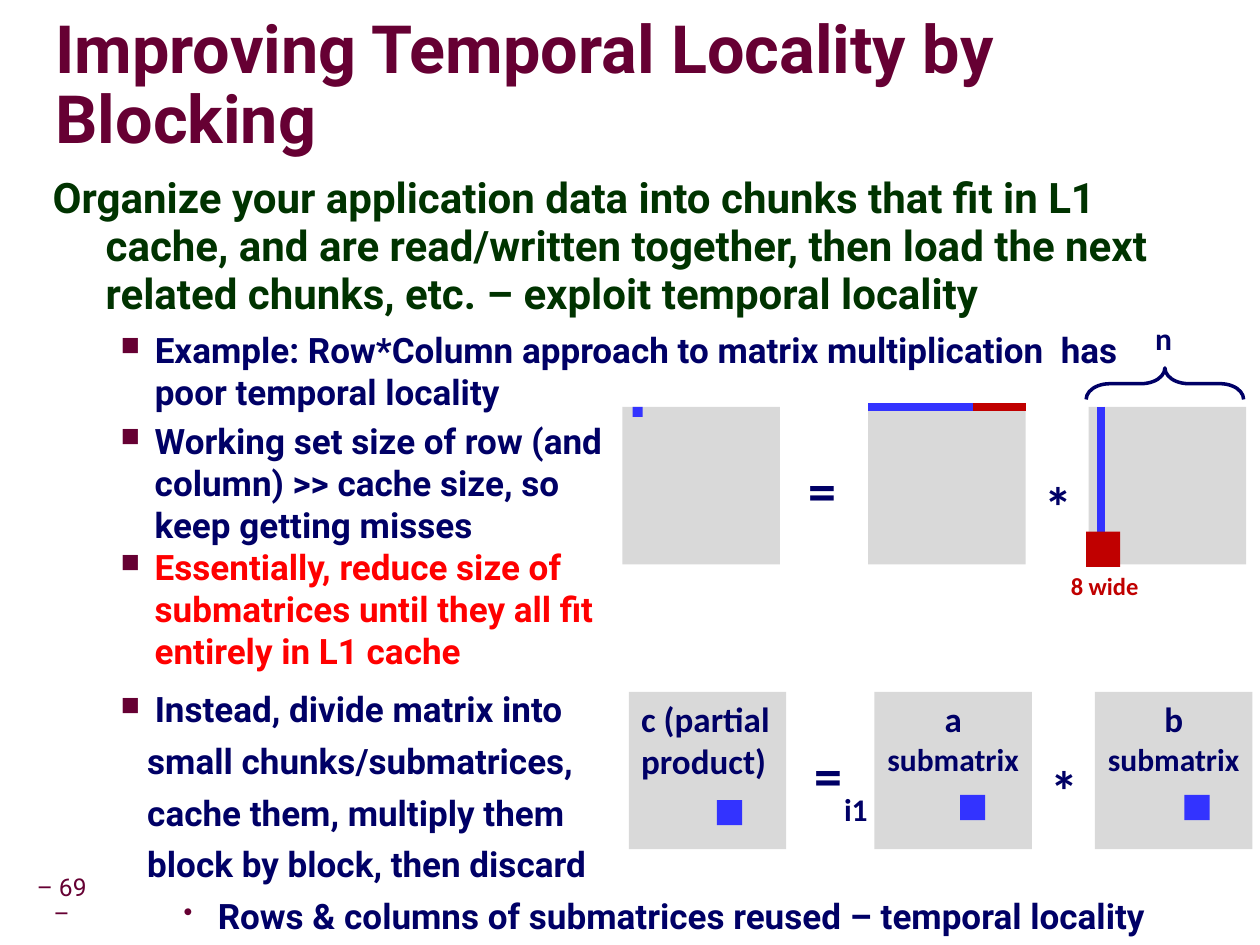
import pptx
import pptx.util
import pptx.dml.color
import pptx.oxml
import pptx.oxml.ns
import pptx.enum.shapes
import pptx.enum.text
from lxml import etree

Inches = pptx.util.Inches
Pt = pptx.util.Pt
RGBColor = pptx.dml.color.RGBColor
Shape = pptx.enum.shapes.MSO_SHAPE
Anchor = pptx.enum.text.MSO_ANCHOR
Align = pptx.enum.text.PP_ALIGN
qn = pptx.oxml.ns.qn

MAROON = RGBColor(0x66, 0x00, 0x33)
GREEN = RGBColor(0x00, 0x33, 0x00)
NAVY = RGBColor(0x00, 0x00, 0x66)
RED = RGBColor(0xFF, 0x00, 0x00)
DARK_RED = RGBColor(0xC0, 0x00, 0x00)
BLUE = RGBColor(0x33, 0x33, 0xFF)
GRAY = RGBColor(0xD9, 0xD9, 0xD9)

MATRIX_SIDE = 1.25
MATRIX_OFFSETS = (0, 1.95, 3.7)
SUB = 5.49


def style_para(para, size, color, font="Roboto", bold=True):
    """Format every run of a paragraph."""
    for span in para.runs:
        span.font.size = Pt(size)
        span.font.name = font
        span.font.bold = bold
        span.font.color.rgb = color


def add_box(page, left, top, width, height, wrap=True, inset=0.1):
    """Add an empty text box."""
    box = page.shapes.add_textbox(Inches(left), Inches(top), Inches(width), Inches(height))
    frame = box.text_frame
    frame.word_wrap = wrap
    frame.margin_left = frame.margin_right = Inches(inset)
    return box


def add_label(page, text, left, top, width, height, size, color=NAVY):
    """Add a short unwrapped label for the diagrams."""
    box = add_box(page, left, top, width, height, wrap=False)
    box.text_frame.text = text
    style_para(box.text_frame.paragraphs[0], size, color, "Calibri")


def add_block(page, left, top, width, height, color):
    """Add a filled rectangle without an outline."""
    block = page.shapes.add_shape(
        Shape.RECTANGLE, Inches(left), Inches(top), Inches(width), Inches(height))
    block.shadow.inherit = False
    block.fill.solid()
    block.fill.fore_color.rgb = color
    block.line.fill.background()
    return block


def add_stripe(page, x1, y1, x2, y2, color):
    """Add a thick line marking a row or column."""
    stripe = page.shapes.add_connector(
        pptx.enum.shapes.MSO_CONNECTOR.STRAIGHT,
        Inches(x1), Inches(y1), Inches(x2), Inches(y2))
    stripe.line.color.rgb = color
    stripe.line.width = Pt(4.5)
    etree.SubElement(stripe.element.spPr, qn("a:effectLst"))


def add_title(page, left, top, width, height):
    """Add the title with its soft text shadow."""
    box = add_box(page, left, top, width, height, inset=0)
    frame = box.text_frame
    frame.margin_top = frame.margin_bottom = 0
    frame.vertical_anchor = Anchor.MIDDLE
    frame.text = "Improving Temporal Locality by Blocking"
    para = frame.paragraphs[0]
    para.line_spacing = 0.87
    style_para(para, 38, MAROON)
    fill = para.runs[0].font.fill._xPr.find(qn("a:solidFill"))
    fill.addnext(pptx.oxml.parse_xml(
        '<a:effectLst xmlns:a="http://schemas.openxmlformats.org/drawingml/2006/main">'
        '<a:outerShdw blurRad="38100" dist="38100" dir="2700000" algn="tl">'
        '<a:srgbClr val="000000"><a:alpha val="43000"/></a:srgbClr>'
        '</a:outerShdw></a:effectLst>'))


def add_page_number(page, left, top, width, height):
    """Add the page number, folded in a narrow box."""
    box = add_box(page, left, top, width, height, inset=0.05)
    frame = box.text_frame
    frame.vertical_anchor = Anchor.MIDDLE
    frame.text = "– 69 –"
    para = frame.paragraphs[0]
    para.alignment = Align.CENTER
    para.line_spacing = 0.9
    style_para(para, 14, MAROON, bold=False)


def add_body(page, left, top, width, height, items, gap):
    """Add paragraphs of text, margin, indent, bullet, size and color."""
    frame = add_box(page, left, top, width, height).text_frame
    for index, (text, margin, indent, bullet, size, color) in enumerate(items):
        para = frame.add_paragraph() if index else frame.paragraphs[0]
        para.text = text
        props = para._p.get_or_add_pPr()
        props.set("marL", str(Inches(margin)))
        props.set("indent", str(Inches(indent)))
        if bullet:
            tint = etree.SubElement(props, qn("a:buClr"))
            etree.SubElement(tint, qn("a:srgbClr")).set("val", str(MAROON))
            etree.SubElement(props, qn("a:buSzPct")).set("val", "75000")
            etree.SubElement(props, qn("a:buChar")).set("char", bullet)
        else:
            etree.SubElement(props, qn("a:buNone"))
        if index:
            para.space_before = Pt(gap)
        if size == 24:
            para.line_spacing = 0.95
        style_para(para, size, color)


def add_equation(page, left, top):
    """Add three matrices joined by an equals sign and a star."""
    matrices = [add_block(page, left + offset, top, MATRIX_SIDE, MATRIX_SIDE, GRAY)
                for offset in MATRIX_OFFSETS]
    add_label(page, "=", left + 1.38, top + 0.34, 0.43, 0.64, 32)
    add_label(page, "*", left + 3.25, top + 0.46, 0.43, 0.64, 32)
    return matrices


def add_row_column_diagram(page, left, top):
    """Show a row times a column, with the cached part in red."""
    add_equation(page, left, top)
    row, column = (left + offset for offset in MATRIX_OFFSETS[1:])
    brace = page.shapes.add_shape(
        Shape.LEFT_BRACE, Inches(column + 0.48), Inches(top - 0.81),
        Inches(0.25), Inches(MATRIX_SIDE))
    brace.rotation = 90
    brace.adjustments[0] = 0.75
    brace.shadow.inherit = False
    brace.fill.background()
    brace.line.color.rgb = NAVY
    brace.line.width = Pt(2)
    add_label(page, "n", column + 0.43, top - 0.75, 0.34, 0.4, 18)
    add_stripe(page, row, top, row + MATRIX_SIDE, top, BLUE)
    add_stripe(page, row + 0.83, top, row + MATRIX_SIDE, top, DARK_RED)
    add_stripe(page, column + 0.1, top, column + 0.1, top + MATRIX_SIDE, BLUE)
    add_block(page, left + 0.08, top, 0.08, 0.08, BLUE)
    add_block(page, column - 0.02, top + 0.99, 0.27, 0.28, DARK_RED)
    add_label(page, "8 wide", column - 0.24, top + 1.25, 0.74, 0.34, 14, DARK_RED)


def add_submatrix_diagram(page, left, top):
    """Show the product of submatrices, each with one marked block."""
    contents = (
        (("c (partial product)",), Align.LEFT, 0.1, 0.7, 0.86),
        (("a", "submatrix"), Align.CENTER, 0.05, 0.68, 0.82),
        (("b", "submatrix"), Align.CENTER, 0.05, 0.71, 0.82),
    )
    matrices = add_equation(page, left, top)
    for matrix, offset, content in zip(matrices, MATRIX_OFFSETS, contents):
        lines, alignment, inset, x, y = content
        frame = matrix.text_frame
        frame.vertical_anchor = Anchor.TOP
        frame.margin_left = frame.margin_right = Inches(inset)
        frame.text = "\n".join(lines)
        for para, size in zip(frame.paragraphs, (20, 18)):
            para.alignment = alignment
            style_para(para, size, NAVY, "Calibri")
        add_block(page, left + offset + x, top + y, 0.2, 0.2, BLUE)
    add_label(page, "i1", left + 1.61, top + 0.73, 0.39, 0.4, 18)


def main():
    """Build and save the slide."""
    deck = pptx.Presentation()
    deck.slide_width, deck.slide_height = Inches(10), Inches(7.5)
    page = deck.slides.add_slide(deck.slide_layouts[6])
    add_page_number(page, 0.24, 7, 0.5, 0.31)
    add_title(page, 0.44, 0.27, 9.53, 0.85)
    square = (0.81, -0.27, "■", 20)
    plain = (0.75, 0, None, 20, NAVY)
    add_body(page, 0.32, 1.34, 9.09, 1.95, (
        ("Organize your application data into chunks that fit in L1 cache, and are "
         "read/written together, then load the next related chunks, etc. – exploit "
         "temporal locality", 0.42, -0.42, None, 24, GREEN),
        ("Example: Row*Column approach to matrix multiplication  has poor temporal "
         "locality", *square, NAVY)), 5.5)
    add_row_column_diagram(page, 4.94, 3.23)
    add_submatrix_diagram(page, 4.99, SUB)
    add_body(page, 0.32, 5.41, 9.55, 1.71, (
        ("Instead, divide matrix into", *square, NAVY),
        ("small chunks/submatrices,", *plain),
        ("cache them, multiply them", *plain),
        ("block by block, then discard", *plain),
        ("Rows & columns of submatrices reused – temporal locality",
         1.31, -0.27, "•", 20, NAVY)), 5.5)
    add_body(page, 0.32, 3.28, 4.77, 1.82, (
        ("Working set size of row (and column) >> cache size, so keep getting misses",
         *square, NAVY),
        ("Essentially, reduce size of submatrices until they all fit entirely in L1 cache",
         *square, RED)), 0)
    deck.save("out.pptx")


if __name__ == "__main__":
    main()
